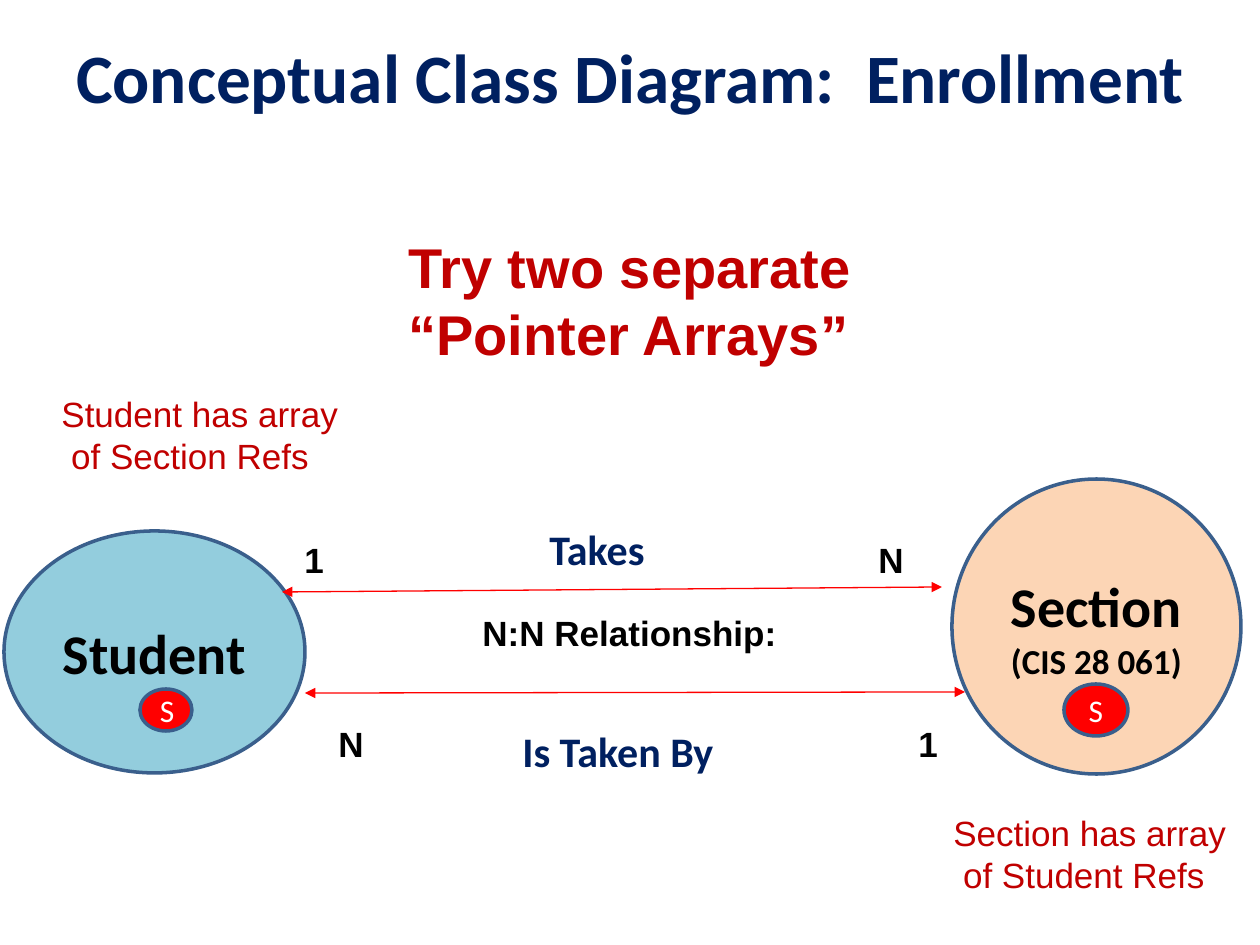
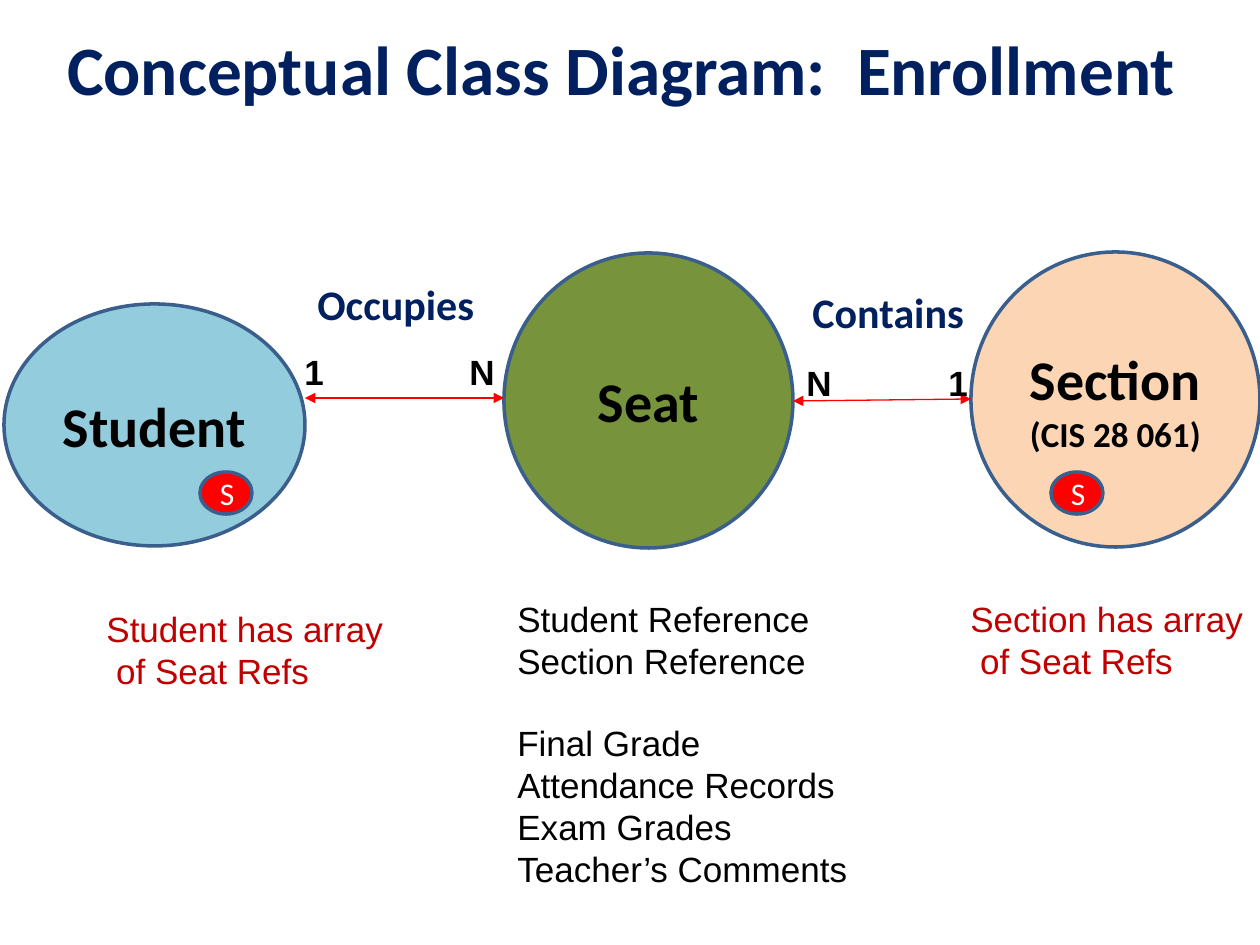
from lxml.etree import SubElement
from pptx import Presentation
from pptx.dml.color import RGBColor
from pptx.enum.shapes import MSO_CONNECTOR, MSO_SHAPE
from pptx.enum.text import MSO_ANCHOR, PP_ALIGN
from pptx.oxml.ns import qn
from pptx.util import Pt

PX = 914400 / 126
NAVY, DARK_RED, RED, BLACK, WHITE = "002060", "C00000", "FF0000", "000000", "FFFFFF"
OUTLINE, BLUE, PEACH, GREEN = "3A5F8C", "93CDDD", "FCD5B5", "77933C"

TITLE = "Conceptual Class Diagram:  Enrollment"
STYLES = {
    "title": ("Calibri", 39.6, NAVY, True),
    "entity": ("Calibri", 32, BLACK, True),
    "detail": ("Calibri", 20, BLACK, True),
    "pointer": ("Calibri", 18, WHITE, False),
    "verb": ("Calibri", 24, NAVY, True),
    "count": ("Arial", 20, BLACK, True),
    "note": ("Arial", 20, DARK_RED, False),
    "fields": ("Arial", 20, BLACK, False),
    "advice": ("Arial", 32, DARK_RED, True),
}
ENTITIES = {
    "Student": (301, 242, BLUE, ["Student"]),
    "Section": (289, 295, PEACH, ["Section", "(CIS 28 061)"]),
    "Seat": (289, 295, GREEN, ["Seat"]),
}
FIELD_GROUPS = [
    ["Student Reference", "Section Reference"],
    ["Final Grade", "Attendance Records", "Exam Grades", "Teacher’s Comments"],
]
SLIDES = [
    {
        "title": (13, 16),
        "entities": [("Student", 4, 531), ("Section", 952, 479)],
        "pointers": [(140, 689, 52, 42), (1064, 684, 64, 52)],
        "arrows": [(282, 592, 942, 587), (305, 693, 965, 692)],
        "texts": [
            ("advice", 396, 226, 615, 149, [["Try two separate “Pointer Arrays”"]]),
            ("note", 49, 386, 347, 97, [["Student has array", " of Section Refs"]]),
            ("note", 941, 805, 315, 97, [["Section has array", " of Student Refs"]]),
            ("verb", 537, 517, 200, 63, [["Takes"]]),
            ("verb", 510, 719, 330, 63, [["Is Taken By"]]),
            ("count", 470, 605, 400, 55, [["N:N Relationship:"]]),
            ("count", 292, 532, 60, 55, [["1"]]),
            ("count", 866, 532, 60, 55, [["N"]]),
            ("count", 326, 716, 60, 55, [["N"]]),
            ("count", 906, 716, 60, 55, [["1"]]),
        ],
    },
    {
        "title": (4, 8),
        "entities": [("Student", 4, 304), ("Seat", 504, 253), ("Section", 971, 252)],
        "pointers": [(200, 472, 52, 42), (1051, 472, 52, 42)],
        "arrows": [(305, 398, 504, 398), (793, 401, 971, 399)],
        "texts": [
            ("note", 94, 601, 347, 97, [["Student has array", " of Seat Refs"]]),
            ("note", 958, 591, 302, 97, [["Section has array", " of Seat Refs"]]),
            ("fields", 505, 591, 378, 320, FIELD_GROUPS),
            ("verb", 305, 272, 192, 63, [["Occupies"]]),
            ("verb", 800, 280, 180, 63, [["Contains"]]),
            ("count", 292, 344, 60, 55, [["1"]]),
            ("count", 457, 344, 60, 55, [["N"]]),
            ("count", 794, 355, 60, 55, [["N"]]),
            ("count", 936, 355, 60, 55, [["1"]]),
        ],
    },
]


def px(*values):
    return [round(v * PX) for v in values]


def rgb(value):
    return RGBColor.from_string(value)


def write(tf, groups, styles, align=PP_ALIGN.LEFT):
    tf.word_wrap = True
    lines = [(g, i, line) for g, group in enumerate(groups) for i, line in enumerate(group)]
    for n, (g, i, line) in enumerate(lines):
        p = tf.add_paragraph() if n else tf.paragraphs[0]
        name, size, color, bold = STYLES[styles[min(n, len(styles) - 1)]]
        p.text = line
        p.alignment = align
        if g and not i:
            p.space_before = Pt(size * 1.15)
        p.font.name, p.font.size, p.font.bold = name, Pt(size), bold
        p.font.color.rgb = rgb(color)


def add_text(s, style, x, y, w, h, groups):
    tf = s.shapes.add_textbox(*px(x, y, w, h)).text_frame
    write(tf, groups, [style])
    return tf


def add_ellipse(s, x, y, w, h, fill, lines, styles):
    sp = s.shapes.add_shape(MSO_SHAPE.OVAL, *px(x, y, w, h))
    sp.shadow.inherit = False
    sp.fill.solid()
    sp.fill.fore_color.rgb = rgb(fill)
    sp.line.color.rgb = rgb(OUTLINE)
    sp.line.width = Pt(2)
    sp.text_frame.vertical_anchor = MSO_ANCHOR.MIDDLE
    write(sp.text_frame, [lines], styles, PP_ALIGN.CENTER)


def add_arrow(s, *ends):
    c = s.shapes.add_connector(MSO_CONNECTOR.STRAIGHT, *px(*ends))
    c.line.color.rgb = rgb(RED)
    c.line.width = Pt(0.75)
    ln = c.line._get_or_add_ln()
    for end in ("a:headEnd", "a:tailEnd"):
        SubElement(ln, qn(end), type="triangle")
    SubElement(c._element.spPr, qn("a:effectLst"))


def add_slide(prs, content):
    s = prs.slides.add_slide(prs.slide_layouts[6])
    tf = add_text(s, "title", *content["title"], 1235, 120, [[TITLE]])
    tf.vertical_anchor = MSO_ANCHOR.MIDDLE
    tf.paragraphs[0].alignment = PP_ALIGN.CENTER
    for name, x, y in content["entities"]:
        w, h, fill, lines = ENTITIES[name]
        add_ellipse(s, x, y, w, h, fill, lines, ["entity", "detail"])
    for box in content["pointers"]:
        add_ellipse(s, *box, RED, ["S"], ["pointer"])
    for ends in content["arrows"]:
        add_arrow(s, *ends)
    for text in content["texts"]:
        add_text(s, *text)


def main():
    prs = Presentation()
    prs.slide_width, prs.slide_height = px(1260, 945)
    for content in SLIDES:
        add_slide(prs, content)
    prs.save("out.pptx")


if __name__ == "__main__":
    main()
